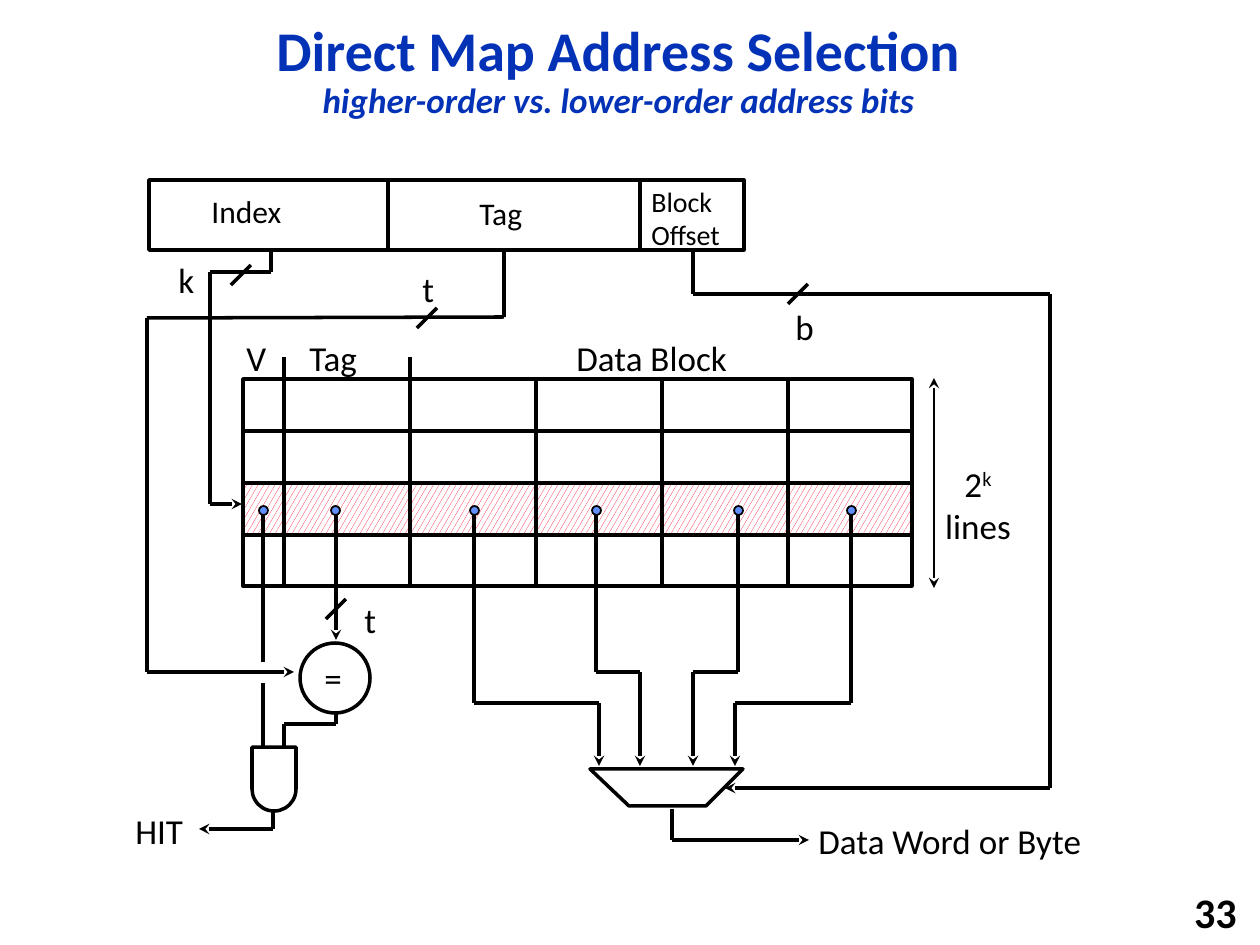
"""Build the slide on direct-mapped cache address selection."""
from lxml import etree
from pptx import Presentation
from pptx import util as u
from pptx.dml.color import RGBColor
from pptx.enum import dml, shapes, text
from pptx.oxml import ns

BLACK = RGBColor(0, 0, 0)
WHITE = RGBColor(255, 255, 255)
NAVY = RGBColor(0x03, 0x32, 0xB7)
RED = RGBColor(0xFC, 0x01, 0x28)
BLUE = RGBColor(0x61, 0x8F, 0xFD)
PX = 914400 / 126
LEFT, MID, RIGHT = text.PP_ALIGN.LEFT, text.PP_ALIGN.CENTER, text.PP_ALIGN.RIGHT
BOX, OVAL = shapes.MSO_SHAPE.RECTANGLE, shapes.MSO_SHAPE.OVAL

deck = Presentation()
deck.slide_width, deck.slide_height = u.Inches(10), u.Inches(7.5)
slide = deck.slides.add_slide(deck.slide_layouts[5])
tree = slide.shapes


def write(words, at, size=20, color=BLACK, bold=False, align=LEFT, box=None, middle=False):
    box = box or tree.add_textbox(0, 0, 0, 0)
    box.left, box.top, box.width, box.height = [round(v * PX) for v in at]
    frame = box.text_frame
    frame.text = words
    frame.word_wrap = False
    frame.auto_size = text.MSO_AUTO_SIZE.NONE
    frame.vertical_anchor = text.MSO_ANCHOR.MIDDLE if middle else text.MSO_ANCHOR.TOP
    for para in frame.paragraphs:
        para.alignment = align
        for run in para.runs:
            font = run.font
            font.name, font.size, font.bold = "Calibri", u.Pt(size), bold
            font.color.rgb = color
    return frame


def wire(*spots, width=2, head=False, tail=False):
    last = len(spots) - 2
    for i, (a, b) in enumerate(zip(spots, spots[1:])):
        line = tree.add_connector(shapes.MSO_CONNECTOR.STRAIGHT, *[round(v * PX) for v in a + b])
        line.line.color.rgb = BLACK
        line.line.width = u.Pt(width)
        edge = line.line._get_or_add_ln()
        if head and i == 0:
            etree.SubElement(edge, ns.qn("a:headEnd"), type="stealth")
        if tail and i == last:
            etree.SubElement(edge, ns.qn("a:tailEnd"), type="stealth")
        etree.SubElement(line._element.spPr, ns.qn("a:effectLst"))


title = write("Direct Map Address Selection\nhigher-order vs. lower-order address bits",
              (116, 21, 1005, 102), 32, NAVY, True, MID, tree.title, True)
title.word_wrap = True
for para in title.paragraphs:
    para.line_spacing = 0.9
    para.space_before = u.Pt(0)
sub = title.paragraphs[1].runs[0].font
sub.size, sub.italic = u.Pt(20), True

wire((336, 703), (336, 724), (284, 724), (284, 746))

dots = (263, 335, 474, 596, 738, 851)
parts = [
    (BOX, (242, 484, 670, 51), 1, RED),
    (BOX, (243, 379, 669, 207), 2, None),
    (BOX, (149, 180, 595, 70), 2, None),
    (OVAL, (300, 643, 70, 70), 2, WHITE),
    (shapes.MSO_SHAPE.ROUND_2_SAME_RECTANGLE, (252, 747, 44, 64), 2, None),
]
parts += [(OVAL, (x - 4, 506, 9, 9), 1, BLUE) for x in dots]
made = []
for kind, at, width, color in parts:
    part = tree.add_shape(kind, *[round(v * PX) for v in at])
    made.append(part)
    part.shadow.inherit = False
    part.line.color.rgb = BLACK
    part.line.width = u.Pt(width)
    if color == RED:
        part.fill.patterned()
        part.fill.pattern = dml.MSO_PATTERN.LARGE_CONFETTI
        part.fill.fore_color.rgb, part.fill.back_color.rgb = RED, WHITE
    elif color is None:
        part.fill.background()
    else:
        part.fill.solid()
        part.fill.fore_color.rgb = color
gate = made[4]
gate.adjustments[0] = 0.5
gate.rotation = 180

pen = tree.build_freeform(590, 769, scale=PX)
pen.add_line_segments([(629, 806), (706, 806), (743, 769)], close=True)
mux = pen.convert_to_shape()
mux.shadow.inherit = False
mux.fill.solid()
mux.fill.fore_color.rgb = WHITE
mux.line.color.rgb = BLACK
mux.line.width = u.Pt(2)

for y in (431, 483, 535):
    wire((242, y), (914, y))
for i in range(5):
    x = 284 + 126 * i
    wire((x, 357 if i < 2 else 378), (x, 588))
for x in (388, 640):
    wire((x, 180), (x, 252))

wire((263, 514), (263, 662))
wire((263, 683), (263, 746))
wire((336, 514), (336, 640), tail=True)
for x, y, port in zip(dots[2:], (703, 672, 672, 703), (599, 640, 693, 735)):
    wire((x, 514), (x, y), (port, y), (port, 766), tail=True)
wire((273, 809), (273, 829), (199, 829), tail=True)
wire((672, 809), (672, 840), (809, 840), tail=True)
wire((271, 250), (271, 272), (210, 272), (210, 504), (242, 504), tail=True)
wire((504, 250), (504, 317), (147, 318), (147, 672), (294, 672), tail=True)
wire((693, 250), (693, 294), (1050, 294), (1050, 788), (725, 788), tail=True)
wire((934, 378), (934, 588), width=1, head=True, tail=True)
for x, y in ((427, 318), (241, 275), (798, 294), (336, 609)):
    wire((x + 10, y - 10), (x - 10, y + 10))

labels = [
    ("Tag", (297, 330, 76, 55), 20),
    ("Data Block", (564, 330, 178, 55), 20),
    ("V", (234, 330, 47, 55), 20),
    ("=", (312, 650, 43, 55), 20),
    ("Block\nOffset", (639, 178, 96, 81), 16),
    ("Index", (199, 186, 97, 51), 18),
    ("Tag", (467, 188, 71, 50), 18),
    ("t", (410, 261, 37, 55), 20),
    ("k", (166, 252, 42, 55), 20),
    ("b", (783, 299, 44, 55), 20),
    ("t", (352, 592, 37, 55), 20),
    ("HIT", (123, 803, 76, 55), 20),
    ("Data Word or Byte", (806, 813, 294, 55), 20),
]
for words, at, size in labels:
    write(words, at, size)

count = write("2\nlines", (932, 456, 92, 97), align=MID)
power = count.paragraphs[0].add_run()
power.text = "k"
power.font.name, power.font.size = "Calibri", u.Pt(20)
power.font.color.rgb = BLACK
power._r.get_or_add_rPr().set("baseline", "30000")

write("33", (987, 892, 262, 40), 24, bold=True, align=RIGHT, middle=True)

deck.save("out.pptx")
